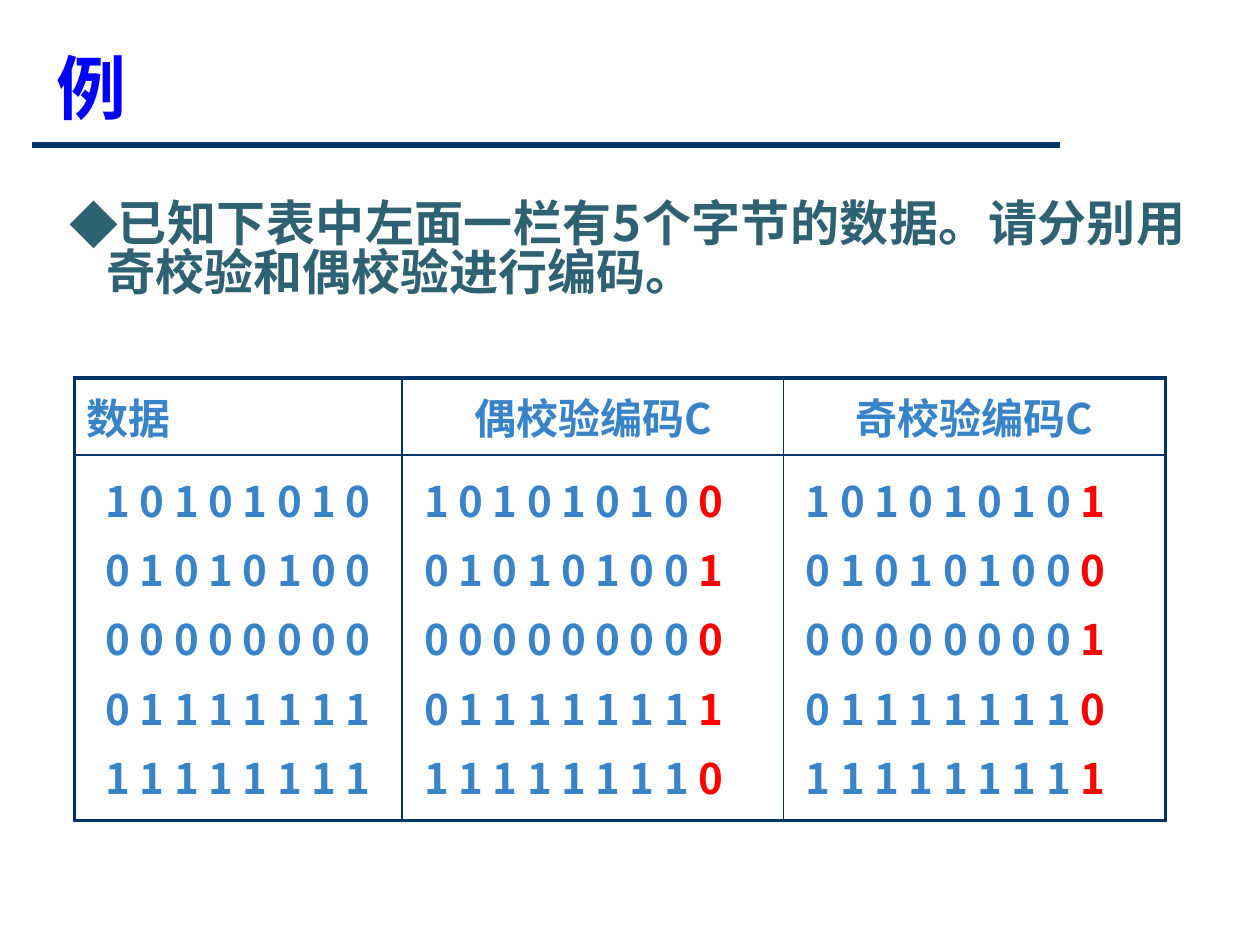
from lxml.etree import SubElement
from pptx import Presentation
from pptx.dml.color import RGBColor
from pptx.enum.shapes import MSO_CONNECTOR
from pptx.enum.text import MSO_ANCHOR, PP_ALIGN
from pptx.oxml.ns import qn
from pptx.util import Inches, Pt

FONT = "Noto Sans CJK SC"
COLORS = {"title": "0000FF", "rule": "003366", "body": "2E6272",
          "data": "3984C9", "check": "FF0000"}
BYTES = ["10101010", "01010100", "00000000", "01111111", "11111111"]
HEADERS = ["数据", "偶校验编码C", "奇校验编码C"]


def rgb(name):
    return RGBColor.from_string(COLORS[name])


def add_run(p, text, size, color):
    r = p.add_run()
    r.text = text
    r.font.size = Pt(size)
    r.font.bold = True
    r.font.name = FONT
    r.font.color.rgb = rgb(color)
    SubElement(r.font._element, qn("a:ea"), typeface=FONT)


def place(sp, box):
    sp.left, sp.top, sp.width, sp.height = [Inches(v) for v in box]


def add_title(s, box):
    sp = s.shapes.title
    place(sp, box)
    tf = sp.text_frame
    tf.vertical_anchor = MSO_ANCHOR.MIDDLE
    p = tf.paragraphs[0]
    p.alignment = PP_ALIGN.LEFT
    add_run(p, "例", 40, "title")


def add_rule(s, left, right, y):
    line = s.shapes.add_connector(MSO_CONNECTOR.STRAIGHT, Inches(left), Inches(y),
                                  Inches(right), Inches(y))
    line.line.color.rgb = rgb("rule")
    line.line.width = Pt(3)
    SubElement(line._element.spPr, qn("a:effectLst"))


def add_body(s, box):
    sp = s.shapes.add_textbox(*[Inches(v) for v in box])
    tf = sp.text_frame
    tf.word_wrap = True
    p = tf.paragraphs[0]
    p.alignment = PP_ALIGN.JUSTIFY
    p.line_spacing = 0.83
    pPr = p._p.get_or_add_pPr()
    pPr.set("marL", str(Inches(0.3)))
    pPr.set("indent", str(-Inches(0.3)))
    color = SubElement(pPr, qn("a:buClr"))
    SubElement(color, qn("a:srgbClr"), val=COLORS["body"])
    SubElement(pPr, qn("a:buFont"), typeface=FONT)
    SubElement(pPr, qn("a:buChar"), char="◆")
    add_run(p, "已知下表中左面一栏有5个字节的数据。请分别用奇校验和偶校验进行编码。",
            28, "body")


def set_borders(cell, widths):
    tcPr = cell._tc.get_or_add_tcPr()
    for side, width in zip("LRTB", widths):
        ln = SubElement(tcPr, qn(f"a:ln{side}"), w=str(Pt(width)))
        fill = SubElement(ln, qn("a:solidFill"))
        SubElement(fill, qn("a:srgbClr"), val=COLORS["rule"])


def fill_cell(cell, lines, alignment):
    cell.vertical_anchor = MSO_ANCHOR.MIDDLE
    tf = cell.text_frame
    for i, runs in enumerate(lines):
        p = tf.add_paragraph() if i else tf.paragraphs[0]
        p.alignment = alignment
        p.space_before = Pt(4.8)
        for text, color in runs:
            add_run(p, text, 24, color)


def coded_lines(odd):
    return [[(f" {' '.join(bits)} ", "data"),
             (str((bits.count("1") + odd) % 2), "check")] for bits in BYTES]


def add_parity_table(s, box):
    table = s.shapes.add_table(2, 3, *[Inches(v) for v in box]).table
    table.first_row = table.horz_banding = False
    for column, width in zip(table.columns, (2.6, 3.03, 3.03)):
        column.width = Inches(width)
    for row, height in zip(table.rows, (0.61, 2.9)):
        row.height = Inches(height)

    data = [[(" ".join(bits), "data")] for bits in BYTES]
    left, center = PP_ALIGN.LEFT, PP_ALIGN.CENTER
    contents = [
        [([[(text, "data")]], left if i == 0 else center)
         for i, text in enumerate(HEADERS)],
        [(data, center), (coded_lines(0), left), (coded_lines(1), left)],
    ]
    for y, row in enumerate(contents):
        for x, (lines, alignment) in enumerate(row):
            cell = table.cell(y, x)
            outer = (x == 0, x == 2, y == 0, y == 1)
            set_borders(cell, [2.25 if edge else 1 for edge in outer])
            cell.fill.background()
            fill_cell(cell, lines, alignment)


def main():
    prs = Presentation()
    prs.slide_width, prs.slide_height = Inches(10), Inches(7.5)
    s = prs.slides.add_slide(prs.slide_layouts[5])
    add_rule(s, 0.25, 8.41, 1.15)
    add_title(s, (0.35, 0.28, 9.34, 0.81))
    add_body(s, (0.45, 1.56, 9.06, 1.46))
    add_parity_table(s, (0.59, 3, 8.66, 3.51))
    prs.save("out.pptx")


if __name__ == "__main__":
    main()
